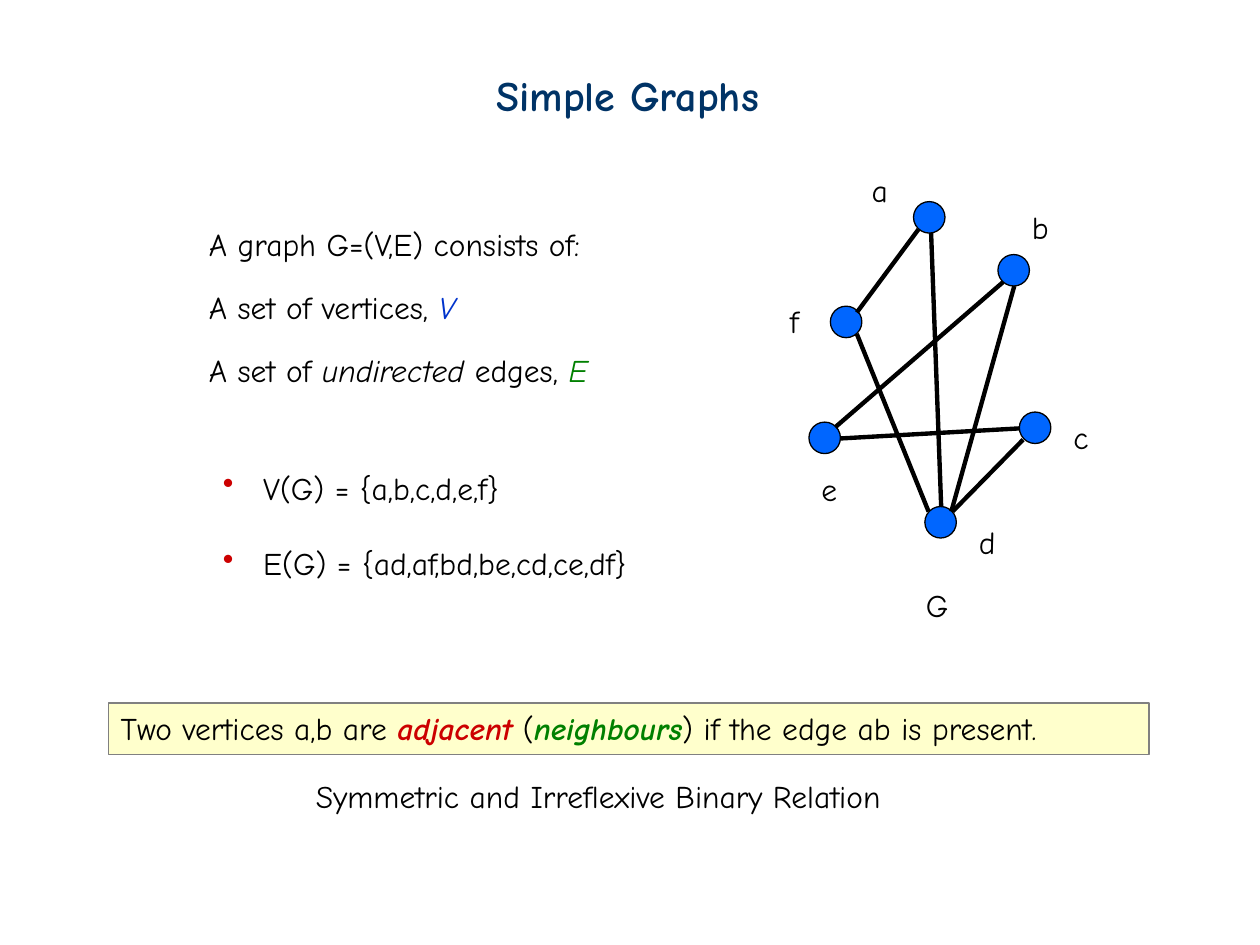
from pptx import Presentation
from pptx.dml.color import RGBColor
from pptx.enum.shapes import MSO_CONNECTOR, MSO_SHAPE
from pptx.enum.text import MSO_ANCHOR, PP_ALIGN
from pptx.oxml.ns import qn
from pptx.util import Inches, Pt
from lxml import etree

ELLIPSE, RECTANGLE = MSO_SHAPE.OVAL, MSO_SHAPE.RECTANGLE
STRAIGHT = MSO_CONNECTOR.STRAIGHT
LEFT, TOP = PP_ALIGN.LEFT, MSO_ANCHOR.TOP
FONT = "Comic Neue"
BLACK, RED, GREEN, BLUE = "000000", "CC0000", "008000", "0033CC"
NODE_SIZE = 0.25


def color(value):
    return RGBColor.from_string(value)


def write(shape, paragraphs, size=18, wrap=False, line_spacing=None, space_before=0, bullet=None):
    """Fill a shape; each paragraph is a list of (text, colour, bold, italic)."""
    frame = shape.text_frame
    frame.word_wrap = wrap
    frame.vertical_anchor = TOP
    for index, runs in enumerate(paragraphs):
        paragraph = frame.paragraphs[0] if index == 0 else frame.add_paragraph()
        paragraph.alignment = LEFT
        if index > 0:
            paragraph.space_before = Pt(space_before)
            if line_spacing:
                paragraph.line_spacing = line_spacing
        if bullet:
            properties = paragraph._p.get_or_add_pPr()
            properties.set("marL", str(Inches(0.32)))
            properties.set("indent", str(-Inches(0.32)))
            bullet_color = etree.SubElement(properties, qn("a:buClr"))
            etree.SubElement(bullet_color, qn("a:srgbClr")).set("val", bullet)
            etree.SubElement(properties, qn("a:buChar")).set("char", "•")
        for text, text_color, bold, italic in runs:
            run = paragraph.add_run()
            run.text = text
            run.font.name = FONT
            run.font.size = Pt(size)
            run.font.color.rgb = color(text_color)
            run.font.bold = bold
            run.font.italic = italic


presentation = Presentation()
presentation.slide_width = Inches(10)
presentation.slide_height = Inches(7.5)
slide = presentation.slides.add_slide(presentation.slide_layouts[5])
shapes = slide.shapes

# Title
title = shapes.title
title.left, title.top, title.width, title.height = (Inches(value) for value in (3.84, 0.5, 2.49, 0.5))
write(title, [[("Simple Graphs", "003366", True, False)]], size=24)

# Vertices: name, node corner, label corner
vertices = [
    ("a", (7.25, 1.6), (6.82, 1.31)),
    ("b", (7.92, 2.02), (8.09, 1.6)),
    ("c", (8.09, 3.27), (8.42, 3.27)),
    ("d", (7.34, 4.02), (7.67, 4.1)),
    ("e", (6.42, 3.35), (6.42, 3.68)),
    ("f", (6.59, 2.43), (6.17, 2.35)),
]
for name, (left, top), label in vertices:
    node = shapes.add_shape(ELLIPSE, Inches(left), Inches(top), Inches(NODE_SIZE), Inches(NODE_SIZE))
    node.shadow.inherit = False
    node.fill.solid()
    node.fill.fore_color.rgb = color("0066FF")
    node.line.color.rgb = color(BLACK)
    node.line.width = Pt(0.75)

# Edges: start and end on the node outlines
edges = {
    "be": (6.63, 3.39, 7.96, 2.24),
    "ce": (6.67, 3.48, 8.09, 3.4),
    "af": (6.8, 2.48, 7.29, 1.82),
    "bd": (7.55, 4.06, 8.05, 2.27),
    "cd": (7.56, 4.06, 8.12, 3.49),
    "ad": (7.47, 4.02, 7.39, 1.85),
    "df": (6.8, 2.65, 7.37, 4.06),
}
for ends in edges.values():
    edge = shapes.add_connector(STRAIGHT, *(Inches(value) for value in ends))
    edge.line.color.rgb = color(BLACK)
    edge.line.width = Pt(2.5)
    etree.SubElement(edge._element.spPr, qn("a:effectLst"))

# Vertex labels and graph name
labels = [(name, label) for name, node, label in vertices] + [("G", (7.25, 4.6))]
for name, (left, top) in labels:
    label_box = shapes.add_textbox(Inches(left), Inches(top), Inches(0.35), Inches(0.4))
    write(label_box, [[(name, BLACK, False, False)]])

# Definition of a graph
definition = shapes.add_textbox(Inches(1.56), Inches(1.74), Inches(3.77), Inches(1.59))
write(definition, [
    [("A graph G=(V,E) consists of:", BLACK, False, False)],
    [("A set of vertices, ", BLACK, False, False), ("V", BLUE, False, True)],
    [("A set of", BLACK, False, False), (" undirected", BLACK, False, True),
     (" edges, ", BLACK, False, False), ("E", GREEN, False, True)],
], wrap=True, line_spacing=1.5, space_before=3.6)

# Vertex and edge sets of the example
example = shapes.add_textbox(Inches(1.67), Inches(3.67), Inches(3.69), Inches(1))
write(example, [
    [("V(G) = {a,b,c,d,e,f}", BLACK, False, False)],
    [("E(G) = {ad,af,bd,be,cd,ce,df}", BLACK, False, False)],
], space_before=21.6, bullet=RED)

# Adjacency banner
banner = shapes.add_shape(RECTANGLE, Inches(0.86), Inches(5.58), Inches(8.26), Inches(0.41))
banner.shadow.inherit = False
banner.fill.solid()
banner.fill.fore_color.rgb = color("FFFFCC")
banner.line.color.rgb = color("808080")
banner.line.width = Pt(0.75)
write(banner, [[
    ("Two vertices a,b are ", BLACK, False, False), ("adjacent", RED, True, True),
    (" (", BLACK, False, False), ("neighbours", GREEN, True, True),
    (") if the edge ab is present.", BLACK, False, False),
]], wrap=True)

# Closing remark
remark = shapes.add_textbox(Inches(2.41), Inches(6.12), Inches(5.17), Inches(0.4))
write(remark, [[("Symmetric and Irreflexive Binary Relation", BLACK, False, False)]])

presentation.save("out.pptx")
